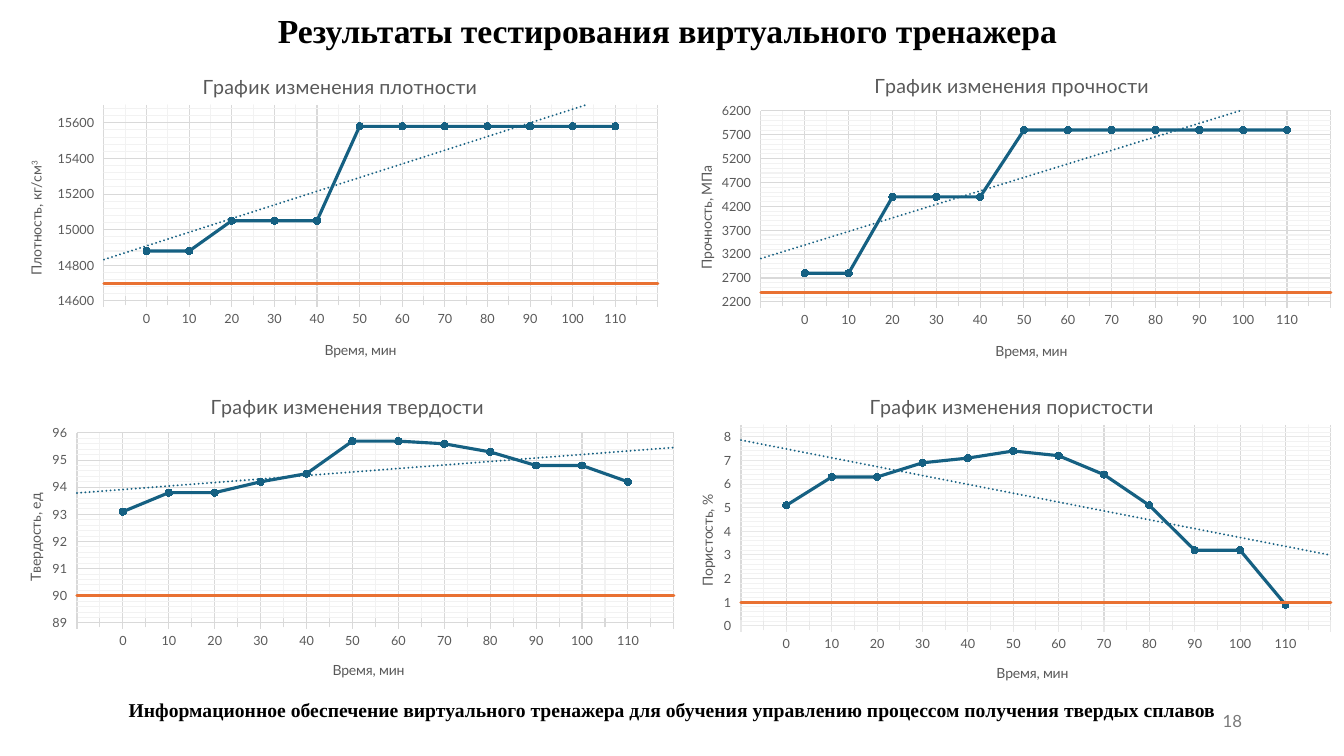
from dataclasses import dataclass

from lxml.etree import SubElement
from pptx import Presentation
from pptx.chart.data import CategoryChartData
from pptx.dml.color import RGBColor
from pptx.enum.chart import XL_CHART_TYPE, XL_MARKER_STYLE, XL_TICK_LABEL_POSITION, XL_TICK_MARK
from pptx.enum.text import MSO_ANCHOR, PP_ALIGN
from pptx.oxml import parse_xml
from pptx.oxml.ns import nsdecls, qn
from pptx.util import Emu, Pt

EMU_PER_PX = 914400 / 100.8
BLUE, ORANGE, GREY, GRID, MINOR = "156082", "E97132", "595959", "D9D9D9", "F2F2F2"
TIMES = [str(t) for t in range(0, 120, 10)]


@dataclass
class Box:
    x: int
    y: int
    w: int
    h: int


@dataclass
class Label:
    text: str
    box: Box
    size: int
    font: str
    color: str
    bold: bool
    align: PP_ALIGN
    anchor: MSO_ANCHOR


@dataclass
class Graph:
    title: str
    unit: str
    frame: Box
    plot: Box
    title_at: tuple[int, int]
    time_at: tuple[int, int]
    unit_at: tuple[int, int]
    low: float
    high: float
    step: float
    limit: float
    values: list[float]
    power: str = ""
    grid: str = GRID


LABELS = [
    Label("Результаты тестирования виртуального тренажера", Box(0, 0, 1335, 60),
          24, "Times New Roman", "000000", True, PP_ALIGN.CENTER, MSO_ANCHOR.MIDDLE),
    Label("18", Box(950, 701, 302, 40),
          12, "Lato", "797979", False, PP_ALIGN.RIGHT, MSO_ANCHOR.MIDDLE),
    Label("Информационное обеспечение виртуального тренажера для обучения управлению "
          "процессом получения твердых сплавов", Box(93, 693, 1159, 34),
          14, "Times New Roman", "000000", True, PP_ALIGN.CENTER, MSO_ANCHOR.TOP),
]

GRAPHS = [
    Graph("плотности", "Плотность, кг/см", Box(0, 51, 672, 326), Box(104, 105, 554, 196),
          (199, 69), (322, 338), (23, 158), 14600, 15700, 200, 14700,
          [14880] * 2 + [15050] * 3 + [15580] * 7, power="3"),
    Graph("прочности", "Прочность, МПа", Box(672, 51, 672, 326), Box(761, 111, 570, 191),
          (871, 68), (993, 339), (694, 163), 2200, 6200, 500, 2400,
          [2800] * 2 + [4400] * 3 + [5800] * 7),
    Graph("пористости", "Пористость, %", Box(672, 371, 672, 329), Box(741, 425, 590, 201),
          (866, 389), (994, 661), (695, 492), 0, 8.5, 1, 1,
          [5.1, 6.3, 6.3, 6.9, 7.1, 7.4, 7.2, 6.4, 5.1, 3.2, 3.2, 0.9], grid="E8E8E8"),
    Graph("твердости", "Твердость, ед", Box(0, 371, 686, 326), Box(77, 433, 597, 190),
          (207, 389), (330, 658), (23, 491), 89, 96, 1, 90,
          [93.1, 93.8, 93.8, 94.2, 94.5, 95.7, 95.7, 95.6, 95.3, 94.8, 94.8, 94.2]),
]


def px(n: int) -> Emu:
    return Emu(round(n * EMU_PER_PX))


def rgb(color: str) -> RGBColor:
    return RGBColor.from_string(color)


def place(box: Box) -> list[Emu]:
    return [px(n) for n in (box.x, box.y, box.w, box.h)]


def style_font(font, size: int, color: str, name: str = "Lato", bold: bool = False) -> None:
    font.size, font.name, font.bold = Pt(size), name, bold
    font.color.rgb = rgb(color)


def add_label(slide, label: Label) -> None:
    tf = slide.shapes.add_textbox(*place(label.box)).text_frame
    tf.word_wrap = True
    tf.vertical_anchor = label.anchor
    p = tf.paragraphs[0]
    p.alignment = label.align
    r = p.add_run()
    r.text = label.text
    style_font(r.font, label.size, label.color, label.font, label.bold)


def make_layout(frame: Box, x: int, y: int, w: int = 0, h: int = 0):
    """Manual chart layout; with a size it describes the inner plot area."""
    layout = parse_xml(f"<c:layout {nsdecls('c')}><c:manualLayout/></c:layout>")
    parts = [("xMode", "edge"), ("yMode", "edge"),
             ("x", (x - frame.x) / frame.w), ("y", (y - frame.y) / frame.h)]
    if w:
        parts = [("layoutTarget", "inner"), *parts, ("w", w / frame.w), ("h", h / frame.h)]
    for tag, value in parts:
        SubElement(layout[0], qn(f"c:{tag}")).set("val", str(value))
    return layout


def drop(parent, tag: str) -> None:
    for child in parent.findall(qn(tag)):
        parent.remove(child)


def line_xml(color: str, width: float, dash: str = "solid") -> str:
    return (f'<c:spPr {nsdecls("c", "a")}><a:ln w="{int(Pt(width))}" cap="rnd"><a:solidFill>'
            f'<a:srgbClr val="{color}"/></a:solidFill><a:prstDash val="{dash}"/></a:ln></c:spPr>')


def write_title(title, frame: Box, at: tuple[int, int], size: int, text: str, power: str = "") -> None:
    p = title.text_frame.paragraphs[0]
    for part in filter(None, (text, power)):
        r = p.add_run()
        r.text = part
        style_font(r.font, size, GREY)
    if power:
        r.font._element.set("baseline", "30000")
    el = title._element
    drop(el, "c:layout")
    el.find(qn("c:tx")).addnext(make_layout(frame, *at))


def style_axis(axis, tick: XL_TICK_MARK, grid: str) -> None:
    style_font(axis.tick_labels.font, 9, GREY)
    axis.tick_label_position = XL_TICK_LABEL_POSITION.LOW
    axis.major_tick_mark = axis.minor_tick_mark = tick
    axis.has_major_gridlines = axis.has_minor_gridlines = True
    line = axis.major_gridlines.format.line
    line.color.rgb, line.width = rgb(grid), Pt(0.75)
    axis._element.find(qn("c:minorGridlines")).append(parse_xml(line_xml(MINOR, 0.75)))


def style_series(ser, color: str) -> None:
    ser.smooth = False
    line = ser.format.line
    line.color.rgb, line.width = rgb(color), Pt(2.25)
    ser._element.find(qn("c:spPr")).find(qn("a:ln")).set("cap", "rnd")
    ser.marker.style = XL_MARKER_STYLE.NONE


def add_graph(slide, g: Graph) -> None:
    data = CategoryChartData()
    data.categories = ["", *TIMES, ""]
    data.add_series("Series 1", [None, *g.values, None])
    data.add_series("Series 2", [g.limit] * (len(TIMES) + 2))
    chart = slide.shapes.add_chart(XL_CHART_TYPE.LINE_MARKERS, *place(g.frame), data).chart
    chart.has_legend = False
    style_font(chart.font, 10, "000000")
    chart.plots[0].vary_by_categories = False

    # Titles and plot area
    cat, val = chart.category_axis, chart.value_axis
    write_title(chart.chart_title, g.frame, g.title_at, 14, f"График изменения {g.title}")
    write_title(cat.axis_title, g.frame, g.time_at, 10, "Время, мин")
    write_title(val.axis_title, g.frame, g.unit_at, 10, g.unit, g.power)
    body = next(val.axis_title._element.iter(qn("a:bodyPr")))
    body.set("rot", "-5400000")
    body.set("vert", "horz")
    area = chart._chartSpace.chart.plotArea
    drop(area, "c:layout")
    area.insert(0, make_layout(g.frame, g.plot.x, g.plot.y, g.plot.w, g.plot.h))

    # Axes
    style_axis(cat, XL_TICK_MARK.CROSS, GRID)
    cat.format.line.color.rgb = rgb(g.grid)
    style_axis(val, XL_TICK_MARK.NONE, g.grid)
    val.format.line.fill.background()
    val.tick_labels.number_format, val.tick_labels.number_format_is_linked = "General", False
    val.minimum_scale, val.maximum_scale, val.major_unit = g.low, g.high, g.step
    val.minor_unit = g.step / 5
    drop(val._element, "c:crossBetween")
    val._element.find(qn("c:crosses")).addnext(
        parse_xml(f'<c:crossBetween {nsdecls("c")} val="midCat"/>'))

    # Measured curve with its trend, and the limit line
    curve, limit = chart.plots[0].series
    style_series(curve, BLUE)
    style_series(limit, ORANGE)
    marker = curve.marker
    marker.style, marker.size = XL_MARKER_STYLE.CIRCLE, 5
    marker.format.fill.solid()
    marker.format.fill.fore_color.rgb = marker.format.line.color.rgb = rgb(BLUE)
    curve._element.find(qn("c:cat")).addprevious(parse_xml(
        f'<c:trendline {nsdecls("c")}>{line_xml(BLUE, 1.5, "sysDot")}'
        '<c:trendlineType val="linear"/><c:dispRSqr val="0"/><c:dispEq val="0"/></c:trendline>'))


def main() -> None:
    prs = Presentation()
    prs.slide_width, prs.slide_height = px(1344), px(756)
    s = prs.slides.add_slide(prs.slide_layouts[6])
    for label in LABELS:
        add_label(s, label)
    for graph in GRAPHS:
        add_graph(s, graph)
    prs.save("out.pptx")


if __name__ == "__main__":
    main()
